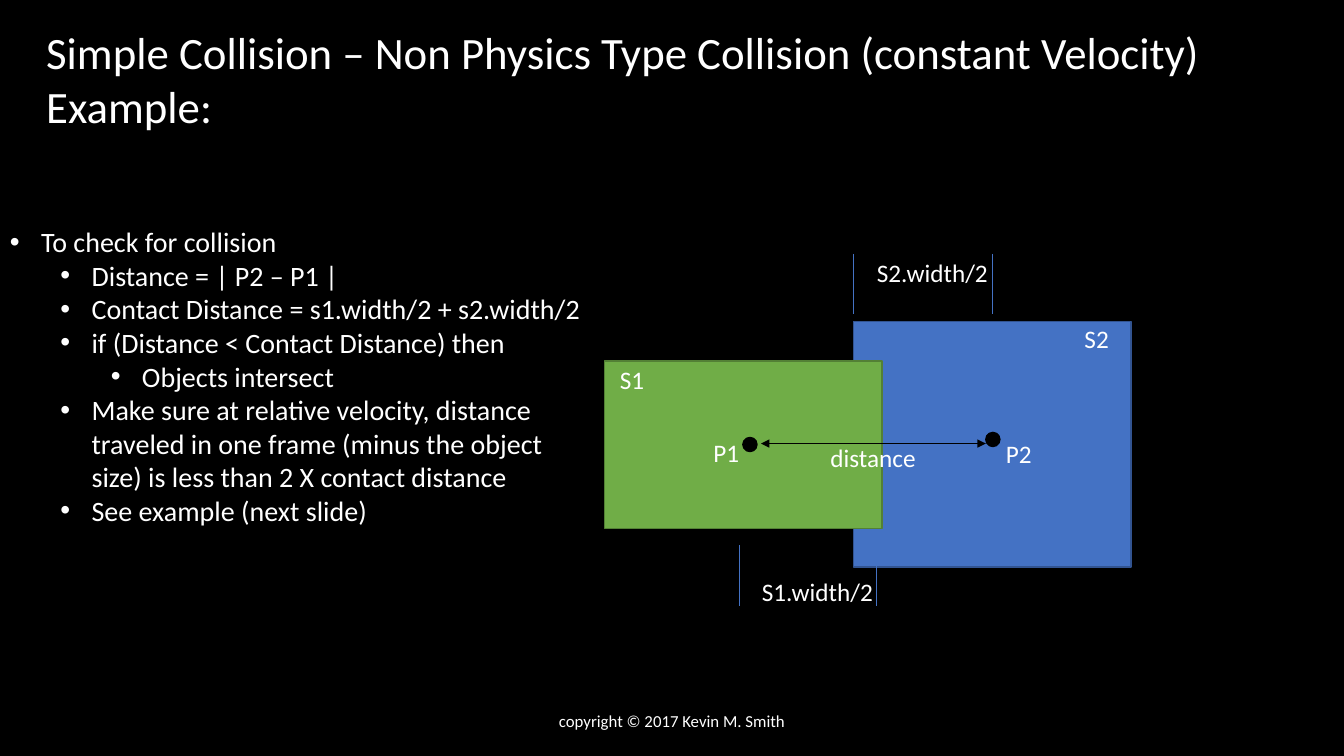
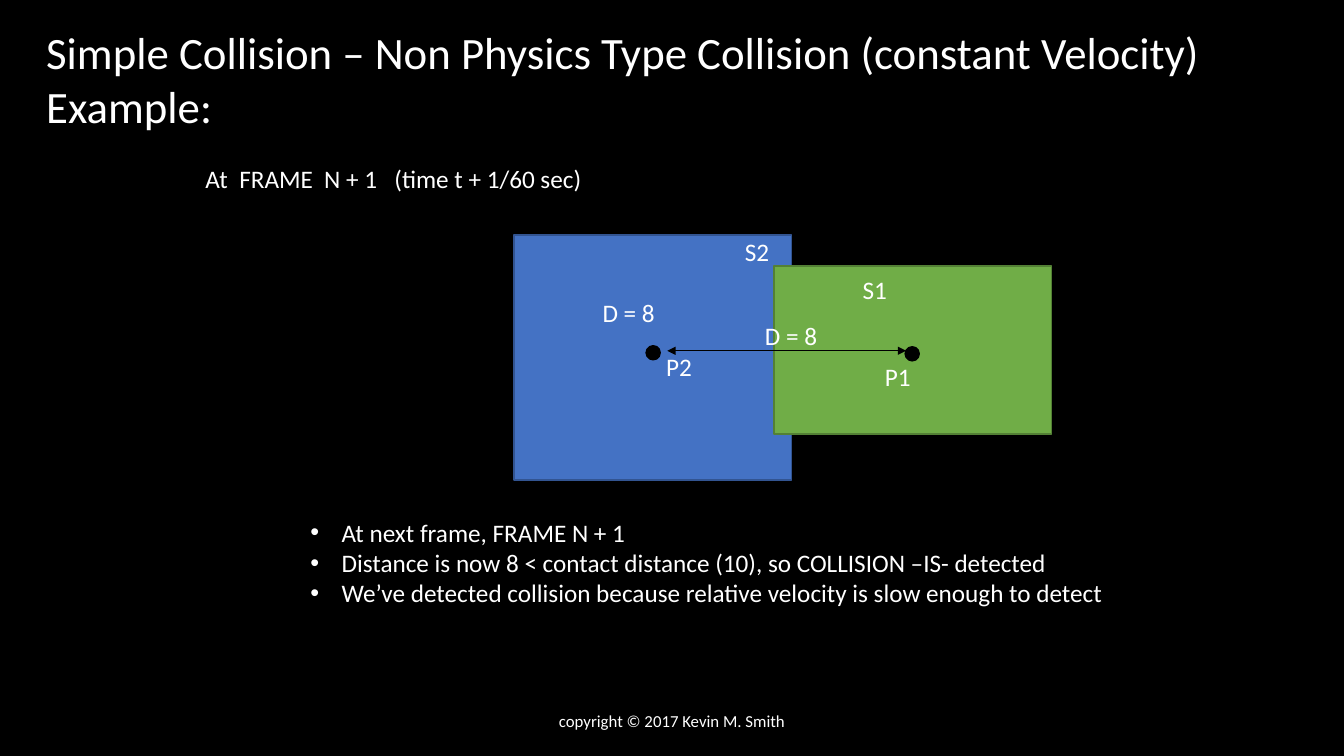
from dataclasses import dataclass

from lxml import etree
from pptx import Presentation
from pptx import util as u
from pptx.dml.color import RGBColor
from pptx.enum import shapes, text
from pptx.oxml import ns


# Colours, type sizes and grid
@dataclass(frozen=True)
class Theme:
    font: str = "Calibri"
    paper: str = "000000"
    ink: str = "FFFFFF"
    mark: str = "000000"
    guide: str = "4472C4"
    title: int = 32
    body: int = 20
    label: int = 18
    footer: int = 12
    outline: float = 1
    hairline: float = 0.5
    columns: int = 80
    rows: int = 45


# Each sprite: fill, outline, columns wide, rows high
SPRITES = {
    "S1": ("70AD47", "538035", 16.5, 10),
    "S2": ("4472C4", "325491", 16.5, 14.6),
}
DOT = 0.84
LABEL_ROWS = 2.4
TITLE = ["Simple Collision – Non Physics Type Collision (constant Velocity)", "Example:"]
FOOTER = "copyright © 2017 Kevin M. Smith"


def assign(target, values):
    for name, value in values.items():
        setattr(target, name, value)


def add_xml(parent, tag, **attributes):
    return etree.SubElement(parent, ns.qn(tag), attributes)


class Deck:
    def __init__(self, theme):
        self.theme = theme
        self.presentation = Presentation()
        assign(self.presentation, {"slide_width": u.Inches(13.33), "slide_height": u.Inches(7.5)})
        self.slide = None

    # Grid lengths
    def x(self, columns):
        return round(self.presentation.slide_width * columns / self.theme.columns)

    def y(self, rows):
        return round(self.presentation.slide_height * rows / self.theme.rows)

    def frame(self, left, top, width, height):
        return self.x(left), self.y(top), self.x(width), self.y(height)

    # Shared slide furniture
    def new_slide(self):
        self.slide = self.presentation.slides.add_slide(self.presentation.slide_layouts[6])
        fill = self.slide.background.fill
        fill.solid()
        fill.fore_color.rgb = RGBColor.from_string(self.theme.paper)
        self.text(TITLE, 2.16, 1.2, 70.62, 7.08, self.theme.title)
        footer = self.text([FOOTER], 26.5, 41.7, 27, 2.4, self.theme.footer, wrap=True)
        footer.vertical_anchor = text.MSO_ANCHOR.MIDDLE
        footer.auto_size = text.MSO_AUTO_SIZE.NONE
        footer.paragraphs[0].alignment = text.PP_ALIGN.CENTER

    # Text
    def text(self, lines, left, top, width, height, size, wrap=False, bullets=False, tabs=()):
        """Lines are strings, or (level, string) pairs when bulleted."""
        box = self.slide.shapes.add_textbox(*self.frame(left, top, width, height))
        frame = box.text_frame
        assign(frame, {"word_wrap": wrap, "auto_size": text.MSO_AUTO_SIZE.SHAPE_TO_FIT_TEXT})
        for index, line in enumerate(lines):
            paragraph = frame.paragraphs[0] if index == 0 else frame.add_paragraph()
            level, wording = line if bullets else (0, line)
            if bullets:
                self.bullet(paragraph, level)
            if tabs:
                tab_list = add_xml(paragraph._p.get_or_add_pPr(), "a:tabLst")
                for stop in tabs:
                    add_xml(tab_list, "a:tab", pos=str(self.x(stop)), algn="l")
            run = paragraph.add_run()
            run.text = wording
            assign(run.font, {"name": self.theme.font, "size": u.Pt(size)})
            run.font.color.rgb = RGBColor.from_string(self.theme.ink)
        return frame

    def bullet(self, paragraph, level):
        paragraph.level = level
        properties = paragraph._p.get_or_add_pPr()
        hanging = u.Inches(0.31)
        properties.set("marL", str(hanging + level * u.Inches(0.5)))
        properties.set("indent", str(-hanging))
        add_xml(properties, "a:buFont", typeface="Arial")
        add_xml(properties, "a:buChar", char="•")

    def label(self, wording, left, top, width, tabs=()):
        self.text([wording], left, top, width, LABEL_ROWS, self.theme.label, tabs=tabs)

    # Shapes
    def shape(self, kind, left, top, width, height, fill, outline):
        shape = self.slide.shapes.add_shape(kind, *self.frame(left, top, width, height))
        shape.shadow.inherit = False
        shape.fill.solid()
        shape.fill.fore_color.rgb = RGBColor.from_string(fill)
        shape.line.color.rgb = RGBColor.from_string(outline)
        shape.line.width = u.Pt(self.theme.outline)

    def sprite(self, name, left, top, centre_x, centre_y):
        fill, outline, width, height = SPRITES[name]
        self.shape(shapes.MSO_SHAPE.RECTANGLE, left, top, width, height, fill, outline)
        self.shape(shapes.MSO_SHAPE.OVAL, centre_x - DOT / 2, centre_y - DOT / 2,
                   DOT, DOT, self.theme.mark, self.theme.mark)

    # Lines
    def line(self, x1, y1, x2, y2, color, arrows=False):
        connector = self.slide.shapes.add_connector(
            shapes.MSO_CONNECTOR.STRAIGHT, self.x(x1), self.y(y1), self.x(x2), self.y(y2))
        connector.line.color.rgb = RGBColor.from_string(color)
        connector.line.width = u.Pt(self.theme.hairline)
        properties = connector._element.spPr
        if arrows:
            for end in ("a:headEnd", "a:tailEnd"):
                add_xml(properties.find(ns.qn("a:ln")), end, type="triangle")
        add_xml(properties, "a:effectLst")

    def distance_arrow(self, x1, x2, row):
        self.line(x1, row, x2, row, self.theme.mark, arrows=True)

    def width_guides(self, x1, x2, top):
        for column in (x1, x2):
            self.line(column, top, column, top + 3.6, self.theme.guide)


def contact_slide(deck):
    deck.new_slide()
    # Overlapping sprites and measurements
    deck.sprite("S2", 50.82, 19.14, 59.1, 26.16)
    deck.sprite("S1", 36, 21.48, 44.64, 26.46)
    deck.distance_arrow(45.3, 58.68, 26.4)
    deck.width_guides(44.04, 52.14, 32.46)
    deck.width_guides(50.82, 59.1, 15.12)
    for label in (
        ("S2.width/2", 51.6, 15, 7.92),
        ("S1.width/2", 44.76, 34.02, 7.92),
        ("P1", 41.88, 25.74, 2.76),
        ("P2", 59.28, 25.8, 2.76),
        ("S1", 36.3, 21.42, 2.7),
        ("S2", 63.96, 18.96, 2.7),
        ("distance", 48.84, 26.04, 6.36),
    ):
        deck.label(*label)
    # Collision test
    deck.text([
        (0, "To check for collision"),
        (1, "Distance = | P2 – P1 |"),
        (1, "Contact Distance = s1.width/2 + s2.width/2"),
        (1, "if (Distance < Contact Distance) then"),
        (2, "Objects intersect"),
        (1, "Make sure at relative velocity, distance traveled in one frame "
            "(minus the object size) is less than 2 X contact distance"),
        (1, "See example (next slide)"),
    ], 0, 13.08, 36.12, 18.78, deck.theme.body, wrap=True, bullets=True)


def next_frame_slide(deck):
    deck.new_slide()
    deck.label("At\tFRAME\tN + 1\t(time t + 1/60 sec)", 11.64, 9.42, 23.88,
               tabs=(2.02, 7.06, 11.25))
    # Sprites after one step
    deck.sprite("S2", 30.6, 13.98, 38.88, 21)
    deck.sprite("S1", 46.08, 15.84, 54.3, 21.06)
    deck.distance_arrow(39.72, 53.94, 20.88)
    for label in (
        ("P2", 39.06, 20.64, 2.76),
        ("S2", 43.74, 13.8, 2.7),
        ("P1", 52.08, 21.24, 2.76),
        ("S1", 50.76, 16.02, 2.7),
        ("D = 8", 35.28, 17.4, 4.38),
        ("D = 8", 44.94, 18.78, 4.38),
    ):
        deck.label(*label)
    # Outcome
    deck.text([
        (0, "At next frame, FRAME N + 1"),
        (0, "Distance is now 8 < contact distance (10), so COLLISION –IS- detected"),
        (0, "We’ve detected collision because relative velocity is slow enough to detect"),
    ], 17.88, 30.48, 48.96, 6.06, deck.theme.label, bullets=True)


def main():
    deck = Deck(Theme())
    contact_slide(deck)
    next_frame_slide(deck)
    deck.presentation.save("out.pptx")


if __name__ == "__main__":
    main()
